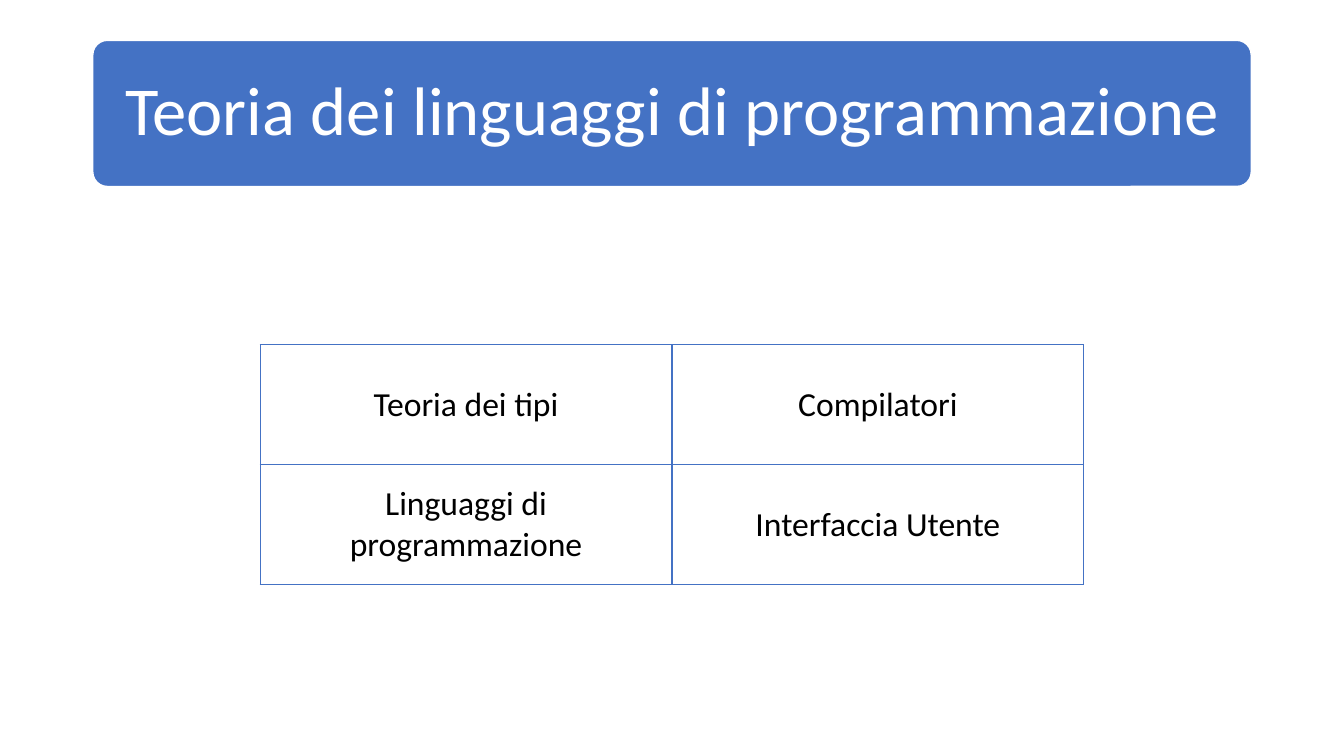
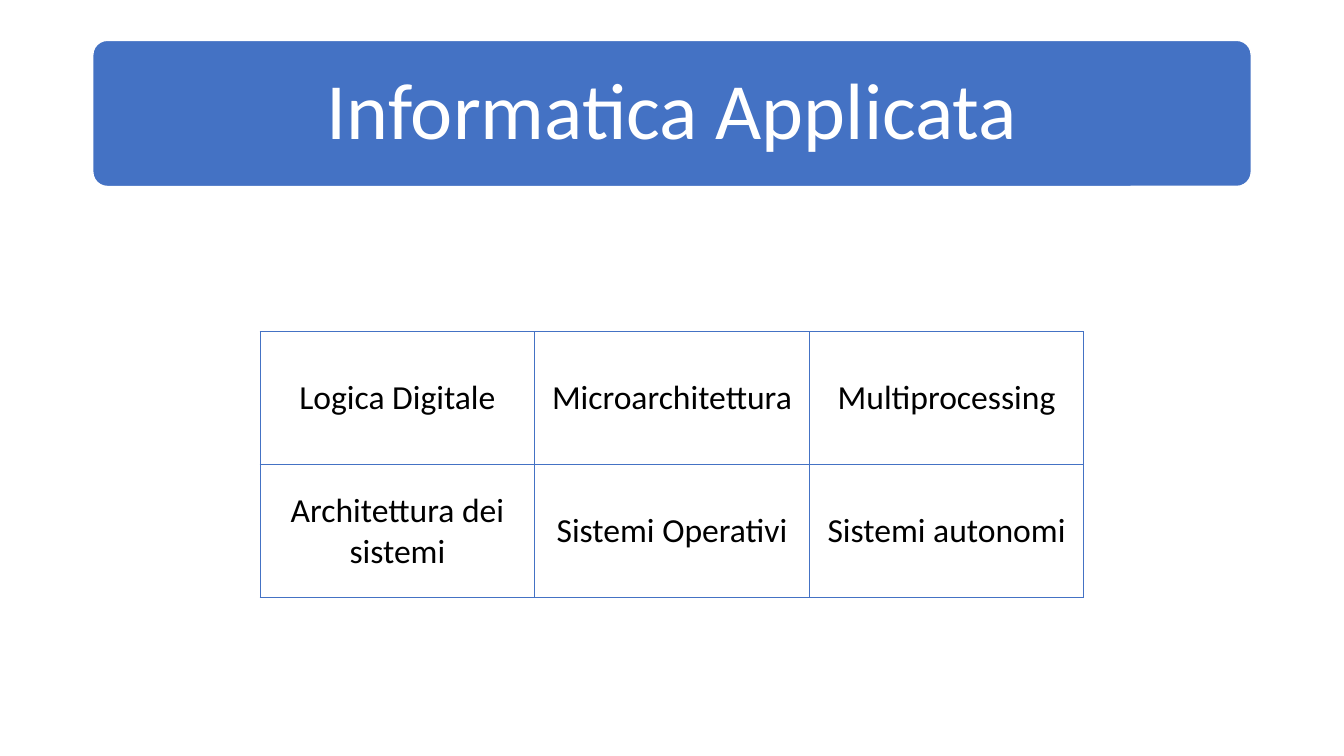
from collections import namedtuple
from dataclasses import dataclass

from lxml import etree
from pptx import Presentation
from pptx.dml.color import RGBColor
from pptx.enum import shapes, text
from pptx.oxml import ns
from pptx.util import Inches, Pt

Box = namedtuple("Box", "left top width height")


@dataclass(frozen=True)
class Theme:
    font: str = "Calibri"
    accent: str = "4472C4"
    paper: str = "FFFFFF"
    ink: str = "000000"
    topic_size: float = 24
    line: float = 1
    cell_inset: float = 0.1


THEME = Theme()
SLIDE_SIZE = (13.33, 7.5)
BANNER = Box(0.92, 0.4, 11.49, 1.45)
TOPIC_AREA = Box(2.58, 2.61, 8.17, 4)

# title, title size, title inset, row height, rows of topics
SUBJECTS = [
    ("Teoria dei linguaggi di programmazione", 49, 0.2, 1.19,
     [["Teoria dei tipi", "Compilatori"],
      ["Linguaggi di programmazione", "Interfaccia Utente"]]),
    ("Informatica Applicata", 57, 0.24, 1.32,
     [["Logica Digitale", "Microarchitettura", "Multiprocessing"],
      ["Architettura dei sistemi", "Sistemi Operativi", "Sistemi autonomi"]]),
]


def rgb(value):
    return RGBColor.from_string(value)


def set_margins(holder, inset):
    holder.margin_left = holder.margin_right = Inches(inset)
    holder.margin_top = holder.margin_bottom = Inches(inset)


def write(frame, content, *, size, color, spacing=1.0):
    frame.word_wrap = True
    paragraph = frame.paragraphs[0]
    paragraph.alignment = text.PP_ALIGN.CENTER
    paragraph.line_spacing = spacing
    run = paragraph.add_run()
    run.text = content
    run.font.name = THEME.font
    run.font.size = Pt(size)
    run.font.color.rgb = rgb(color)


def add_banner(slide, box, title, size, inset):
    banner = slide.shapes.add_shape(
        shapes.MSO_SHAPE.ROUNDED_RECTANGLE, *map(Inches, box))
    banner.adjustments[0] = 0.1
    banner.shadow.inherit = False
    banner.fill.solid()
    banner.fill.fore_color.rgb = rgb(THEME.accent)
    banner.line.color.rgb = rgb(THEME.paper)
    banner.line.width = Pt(THEME.line)
    frame = banner.text_frame
    frame.vertical_anchor = text.MSO_ANCHOR.MIDDLE
    set_margins(frame, inset)
    write(frame, title, size=size, color=THEME.paper, spacing=0.9)


def add_borders(cell):
    properties = cell._tc.get_or_add_tcPr()
    for side in ("lnL", "lnR", "lnT", "lnB"):
        border = etree.SubElement(properties, ns.qn(f"a:{side}"),
                                  w=str(Pt(THEME.line)))
        fill = etree.SubElement(border, ns.qn("a:solidFill"))
        etree.SubElement(fill, ns.qn("a:srgbClr"), val=THEME.accent)


def add_topics(slide, box, rows, row_height):
    """Draw the topics in a grid as wide as the box and centred in its height."""
    height = row_height * len(rows)
    top = box.top + (box.height - height) / 2
    column_count = len(rows[0])
    table = slide.shapes.add_table(
        len(rows), column_count,
        *map(Inches, (box.left, top, box.width, height))).table
    table.first_row = table.horz_banding = False
    for column in table.columns:
        column.width = Inches(box.width / column_count)
    for r, row in enumerate(rows):
        table.rows[r].height = Inches(row_height)
        for c, topic in enumerate(row):
            cell = table.cell(r, c)
            add_borders(cell)
            cell.fill.background()
            cell.vertical_anchor = text.MSO_ANCHOR.MIDDLE
            set_margins(cell, THEME.cell_inset)
            write(cell.text_frame, topic,
                  size=THEME.topic_size, color=THEME.ink)


def add_subject_slide(deck, title, size, inset, row_height, rows):
    slide = deck.slides.add_slide(deck.slide_layouts[6])
    add_banner(slide, BANNER, title, size, inset)
    add_topics(slide, TOPIC_AREA, rows, row_height)


def main():
    deck = Presentation()
    deck.slide_width, deck.slide_height = map(Inches, SLIDE_SIZE)
    for subject in SUBJECTS:
        add_subject_slide(deck, *subject)
    deck.save("out.pptx")


if __name__ == "__main__":
    main()
